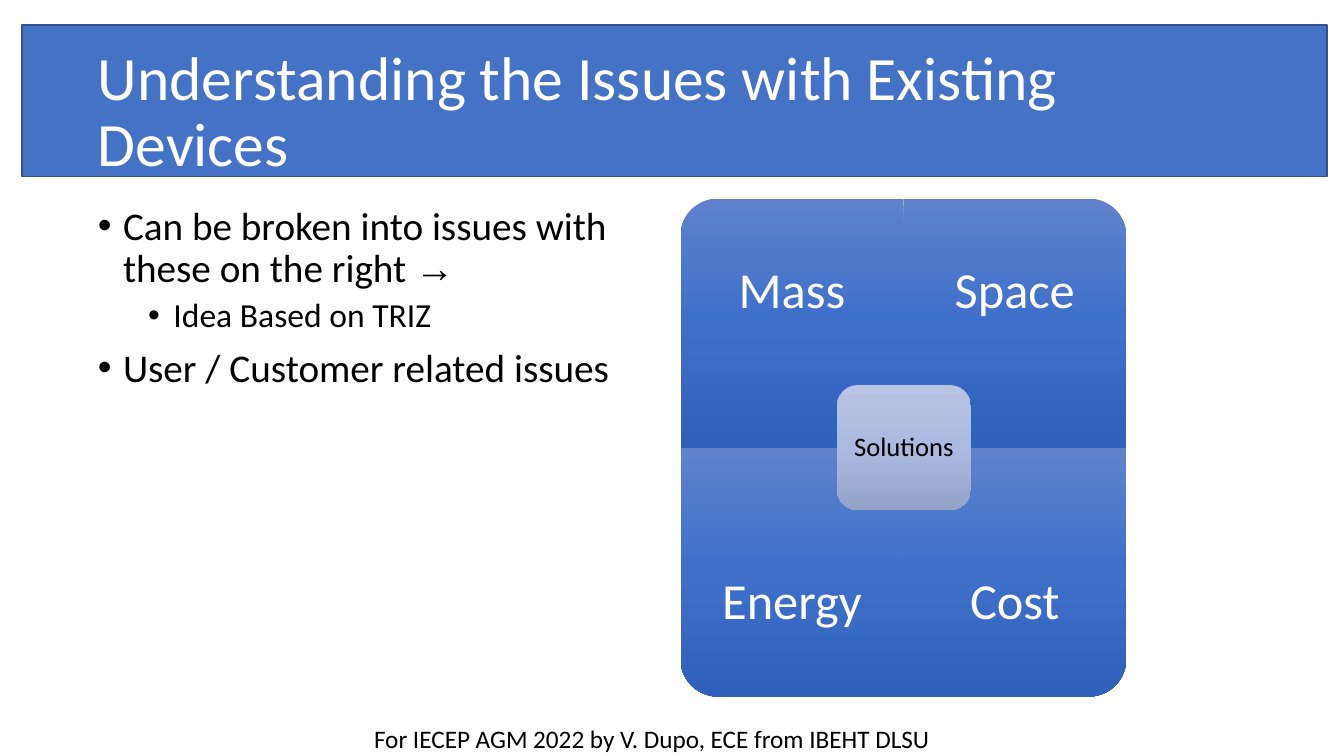
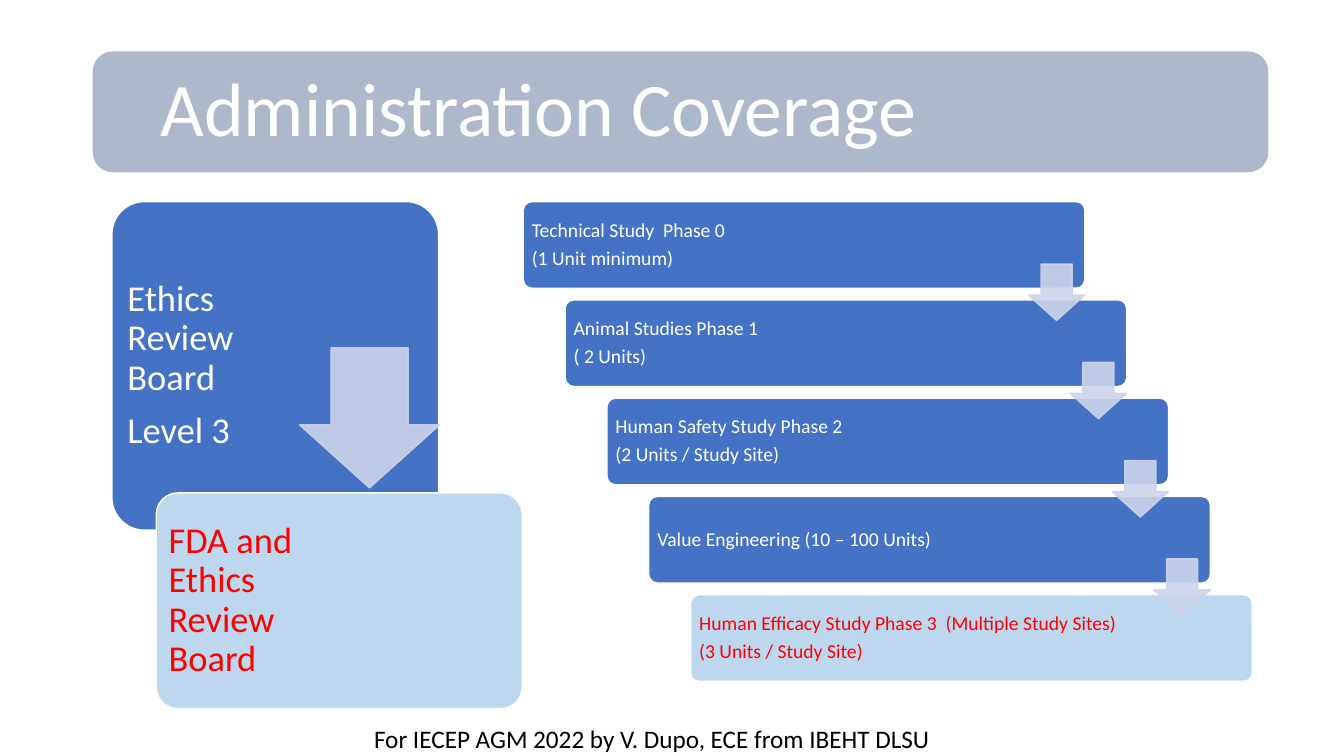
"""Build two slides on device issues and the coverage of study administration."""
import copy
import itertools
import math

import lxml.etree
import pptx
import pptx.dml.color
import pptx.enum.shapes
import pptx.enum.text
import pptx.oxml.ns
import pptx.util

Inches = pptx.util.Inches
Pt = pptx.util.Pt
RGB = pptx.dml.color.RGBColor.from_string
Shape = pptx.enum.shapes.MSO_SHAPE
Align = pptx.enum.text.PP_ALIGN
Anchor = pptx.enum.text.MSO_ANCHOR
qn = pptx.oxml.ns.qn


class Theme:
    font = "Calibri"
    sign = "Arial"
    white = "FFFFFF"
    black = "000000"
    red = "FF0000"
    blue = "4472C4"
    edge = "32538F"
    gray = "ADB9CA"
    pale = "BDD7EE"
    arrow = "CDD4EA"
    deep = ("5F82CB", "3E70CA", "2F61BA")
    soft = ("B9C3E3", "ACB9E0", "95A2CA")
    title = 44
    cover = 54
    quad = 36
    item = 28
    sub = 24
    board = 26
    core = 19
    foot = 18
    step = 14


def paint(shape, fill, line=None):
    shape.shadow.inherit = False
    if isinstance(fill, tuple):
        shape.fill.gradient()
        shape.fill.gradient_angle = 270
        first = shape.element.spPr.find(".//" + qn("a:gs"))
        first.addnext(copy.deepcopy(first))
        for stop, color, place in zip(shape.fill.gradient_stops, fill, (0, 0.5, 1)):
            stop.color.rgb = RGB(color)
            stop.position = place
    else:
        shape.fill.solid()
        shape.fill.fore_color.rgb = RGB(fill)
    if line:
        shape.line.color.rgb = RGB(line)
        shape.line.width = Pt(1)
    else:
        shape.line.fill.background()


def write(frame, lines, size, color, pads=(0.05,) * 4, gap=0, space=0.9,
          align=Align.LEFT, anchor=Anchor.MIDDLE):
    frame.text = "\n".join(lines)
    frame.word_wrap = True
    frame.auto_size = pptx.enum.text.MSO_AUTO_SIZE.NONE
    frame.vertical_anchor = anchor
    sides = [Inches(pad) for pad in pads]
    frame.margin_left, frame.margin_top, frame.margin_right, frame.margin_bottom = sides
    for rank, para in enumerate(frame.paragraphs):
        para.alignment = align
        para.line_spacing = space
        para.space_before = Pt(gap if rank else 0)
        for run in para.runs:
            run.font.name = Theme.font
            run.font.size = Pt(size)
            run.font.color.rgb = RGB(color)


deck = pptx.Presentation()
deck.slide_width = Inches(13.33)
deck.slide_height = Inches(7.5)
issues = deck.slides.add_slide(deck.slide_layouts[1])
cover = deck.slides.add_slide(deck.slide_layouts[5])

heads = [
    (issues, "Understanding the Issues with Existing Devices", Theme.title, 0.9, 0.05,
     (0.92, 0.4, 11.5, 1.45), Shape.RECTANGLE, (0.22, 0.25, 12.94, 1.5),
     Theme.blue, Theme.edge),
    (cover, "Administration Coverage", Theme.cover, 1.0, 0.02,
     (1.57, 0.65, 10.82, 0.81), Shape.ROUNDED_RECTANGLE, (0.92, 0.51, 11.66, 1.2),
     Theme.gray, None),
]
for slide, text, size, space, pad, spot, kind, area, fill, line in heads:
    title = slide.shapes.title
    title.left, title.top, title.width, title.height = map(Inches, spot)
    write(title.text_frame, [text], size, Theme.white, (pad,) * 4, space=space)
    band = slide.shapes.add_shape(kind, *map(Inches, area))
    paint(band, fill, line)
    title.element.addprevious(band.element)
    foot = slide.shapes.add_textbox(*map(Inches, (3.66, 7.13, 6.57, 0.36)))
    write(foot.text_frame, ["For IECEP AGM 2022 by V. Dupo, ECE from IBEHT DLSU"],
          Theme.foot, Theme.black, space=1.0, anchor=Anchor.TOP)

body = issues.placeholders[1]
body.left, body.top, body.width, body.height = map(Inches, (0.92, 2, 5.67, 4.76))
write(body.text_frame, ["Can be broken into issues with these on the right ",
                        "Idea Based on TRIZ", "User / Customer related issues"],
      Theme.item, Theme.black, gap=10, anchor=Anchor.TOP)
for para, level in zip(body.text_frame.paragraphs, (0, 1, 0)):
    para.level = level
    props = para._p.get_or_add_pPr()
    props.set("marL", str(Inches(0.25 + 0.5 * level)))
    props.set("indent", str(Inches(-0.25)))
    face = lxml.etree.SubElement(props, qn("a:buFont"))
    face.set("typeface", Theme.sign)
    lxml.etree.SubElement(props, qn("a:buChar")).set("char", "•")
    if level:
        para.space_before = Pt(5)
        para.runs[0].font.size = Pt(Theme.sub)
arrow = body.text_frame.paragraphs[0].add_run()
arrow.text = "→"
arrow.font.name = Theme.sign
arrow.font.size = Pt(Theme.item)
arrow.font.color.rgb = RGB(Theme.black)

mid_x, mid_y, wide, high, curve = 8.96, 4.44, 2.21, 2.47, 0.37
turns = [math.radians(angle) for angle in range(0, 91, 5)]
signs = itertools.product((-1, 1), (-1, 1))
for (down, side), name in zip(signs, ("Mass", "Space", "Energy", "Cost")):
    rim = [(wide, 0)]
    rim += [(wide - curve + curve * math.cos(turn), high - curve + curve * math.sin(turn))
            for turn in turns]
    rim += [(0, high)]
    pen = issues.shapes.build_freeform(Inches(mid_x), Inches(mid_y), scale=1.0)
    pen.add_line_segments([(Inches(mid_x + side * x), Inches(mid_y + down * y))
                           for x, y in rim])
    quad = pen.convert_to_shape()
    paint(quad, Theme.deep)
    pads = (0.28, 0, 0.28, 0.62) if down < 0 else (0.28, 0.62, 0.28, 0)
    write(quad.text_frame, [name], Theme.quad, Theme.white, pads, align=Align.CENTER)

core = issues.shapes.add_shape(Shape.ROUNDED_RECTANGLE,
                               *map(Inches, (8.3, 3.82, 1.33, 1.24)))
paint(core, Theme.soft)
write(core.text_frame, ["Solutions"], Theme.core, Theme.black, align=Align.CENTER)

steps = [
    ["Technical Study  Phase 0", "(1 Unit minimum)"],
    ["Animal Studies Phase 1", "( 2 Units)"],
    ["Human Safety Study Phase 2", "(2 Units / Study Site)"],
    ["Value Engineering (10 – 100 Units)"],
    ["Human Efficacy Study Phase 3  (Multiple Study Sites)", "(3 Units / Study Site)"],
]
shift, drop = 0.415, 0.975
cards = [((5.19 + shift * rank, 2 + drop * rank, 5.57, 0.86), lines, Theme.step, 5, 0.06)
         for rank, lines in enumerate(steps)]
cards += [
    ((1.11, 2, 3.24, 3.26), ["Ethics Review Board", "Level 3"], Theme.board, 10, 1.71),
    ((1.55, 4.89, 3.63, 2.14), ["FDA and Ethics Review Board"], Theme.board, 10, 2.1),
]
for spot, lines, size, gap, right in cards:
    last = lines in (steps[-1], cards[-1][1])
    card = cover.shapes.add_shape(Shape.ROUNDED_RECTANGLE, *map(Inches, spot))
    card.adjustments[0] = 0.1
    paint(card, Theme.pale if last else Theme.blue, Theme.white)
    write(card.text_frame, lines, size, Theme.red if last else Theme.white,
          (0.06, 0.06, right, 0.06), gap)

marks = [(10.2 + shift * rank, 2.62 + drop * rank, 0.56) for rank in range(4)]
for left, top, size in marks + [(2.97, 3.45, 1.39)]:
    mark = cover.shapes.add_shape(Shape.DOWN_ARROW, *map(Inches, (left, top, size, size)))
    mark.adjustments[0] = 0.55
    mark.adjustments[1] = 0.45
    paint(mark, Theme.arrow, Theme.arrow)
    for color in mark.element.spPr.iter(qn("a:srgbClr")):
        lxml.etree.SubElement(color, qn("a:alpha")).set("val", "90000")

deck.save("out.pptx")
